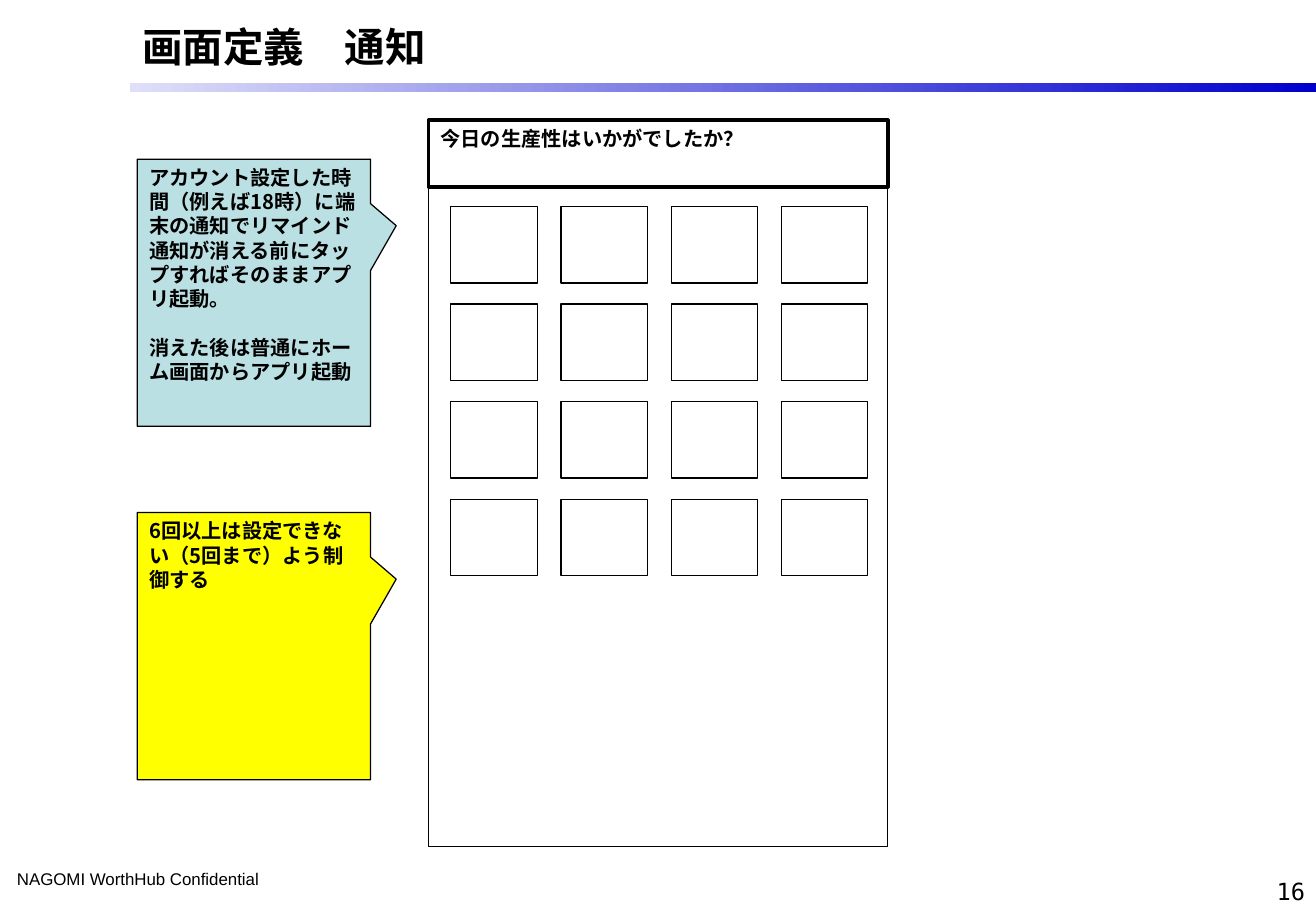
from pptx import Presentation, util as u
from pptx.dml.color import RGBColor
from pptx.enum import shapes, text
from pptx.oxml.ns import qn

BLACK = RGBColor(0, 0, 0)
WHITE = RGBColor(255, 255, 255)
LILAC = RGBColor(0xDF, 0xDF, 0xF9)
BLUE = RGBColor(0, 0, 0xCC)
AQUA = RGBColor(0xBB, 0xE0, 0xE3)
YELLOW = RGBColor(255, 255, 0)
SANS = "Noto Sans CJK JP"
WIDE, HIGH = u.Inches(10.83), u.Inches(7.5)
RECT = shapes.MSO_SHAPE.RECTANGLE
CALL = shapes.MSO_SHAPE.RECTANGULAR_CALLOUT
ANCHOR, ALIGN = text.MSO_ANCHOR, text.PP_ALIGN


def place(x, y, w, h):
    """Turn percent shares of the slide into lengths."""
    return [round(n * side / 100) for n, side in zip((x, y, w, h), (WIDE, HIGH) * 2)]


def write(shape, words, size=12, face=SANS, bold=True,
          anchor=ANCHOR.TOP, align=ALIGN.LEFT):
    frame = shape.text_frame
    frame.word_wrap = True
    frame.vertical_anchor = anchor
    frame.text = words
    for para in frame.paragraphs:
        para.alignment = align
        for run in para.runs:
            font = run.font
            font.size, font.bold, font.name = u.Pt(size), bold, face
            font.color.rgb = BLACK
            east = font._element.makeelement(qn("a:ea"), {"typeface": face})
            font._element.find(qn("a:latin")).addnext(east)
    return frame


def box(slide, area, fill=WHITE, width=0.75, kind=RECT):
    shape = slide.shapes.add_shape(kind, *place(*area))
    shape.shadow.inherit = False
    shape.fill.solid()
    shape.fill.fore_color.rgb = fill
    shape.line.color.rgb = BLACK
    shape.line.width = u.Pt(width)
    return shape


def label(slide, area, words, **style):
    return write(slide.shapes.add_textbox(*place(*area)), words, **style)


def note(slide, top, fill, words):
    """Callout pointing right at the phone screen."""
    shape = box(slide, (10.43, top, 17.73, 29.33), fill, kind=CALL)
    shape.adjustments[0], shape.adjustments[1] = 0.61, -0.251
    frame = write(shape, words)
    for para in frame.paragraphs:
        para.line_spacing = u.Pt(14.4)
    return frame


def band(slide):
    """Gradient rule under the title."""
    shape = slide.shapes.add_shape(RECT, *place(9.88, 9.07, 90.12, 1.07))
    shape.shadow.inherit = False
    shape.line.fill.background()
    shape.fill.gradient()
    shape.fill.gradient_angle = 0
    for stop, color, spot in zip(shape.fill.gradient_stops, (LILAC, BLUE), (0, 1)):
        stop.color.rgb = color
        stop.position = spot


def head(slide, words):
    title = slide.shapes.title
    title.left, title.top, title.width, title.height = place(9.88, 1.73, 86.61, 6.67)
    frame = write(title, words, size=24, anchor=ANCHOR.MIDDLE)
    frame.auto_size = text.MSO_AUTO_SIZE.NONE
    frame.margin_top = frame.margin_bottom = 0


def phone(slide):
    """Screen frame, notice bar and a grid of app icons."""
    box(slide, (32.56, 13.2, 34.9, 79.73))
    bar = box(slide, (32.56, 13.2, 34.9, 7.33), width=2.25)
    frame = write(bar, "今日の生産性はいかがでしたか？")
    frame.paragraphs[0].line_spacing = u.Pt(14.4)
    for row in range(4):
        for col in range(4):
            box(slide, (34.26 + 8.37 * col, 22.67 + 10.71 * row, 6.56, 8.4))


def main():
    deck = Presentation()
    deck.slide_width, deck.slide_height = WIDE, HIGH
    slide = deck.slides.add_slide(deck.slide_layouts[5])

    # Page frame
    band(slide)
    foot = label(slide, (0, 94.67, 31.49, 3.6), "NAGOMI WorthHub Confidential",
                 size=10, face="Arial", bold=False)
    foot.margin_left = u.Inches(0.14)
    label(slide, (76.73, 93.07, 23.36, 6.93), "16", size=14, face="DejaVu Sans Mono",
          bold=False, anchor=ANCHOR.BOTTOM, align=ALIGN.RIGHT)
    head(slide, "画面定義　通知")

    # Screen and its notes
    phone(slide)
    remind = note(slide, 17.47, AQUA,
                  "アカウント設定した時間（例えば18時）に端末の通知でリマインド\n"
                  "通知が消える前にタップすればそのままアプリ起動。\n"
                  "消えた後は普通にホーム画面からアプリ起動")
    remind.paragraphs[2].space_before = u.Pt(14.4)
    note(slide, 56.27, YELLOW, "6回以上は設定できない（5回まで）よう制御する")

    deck.save("out.pptx")


if __name__ == "__main__":
    main()
